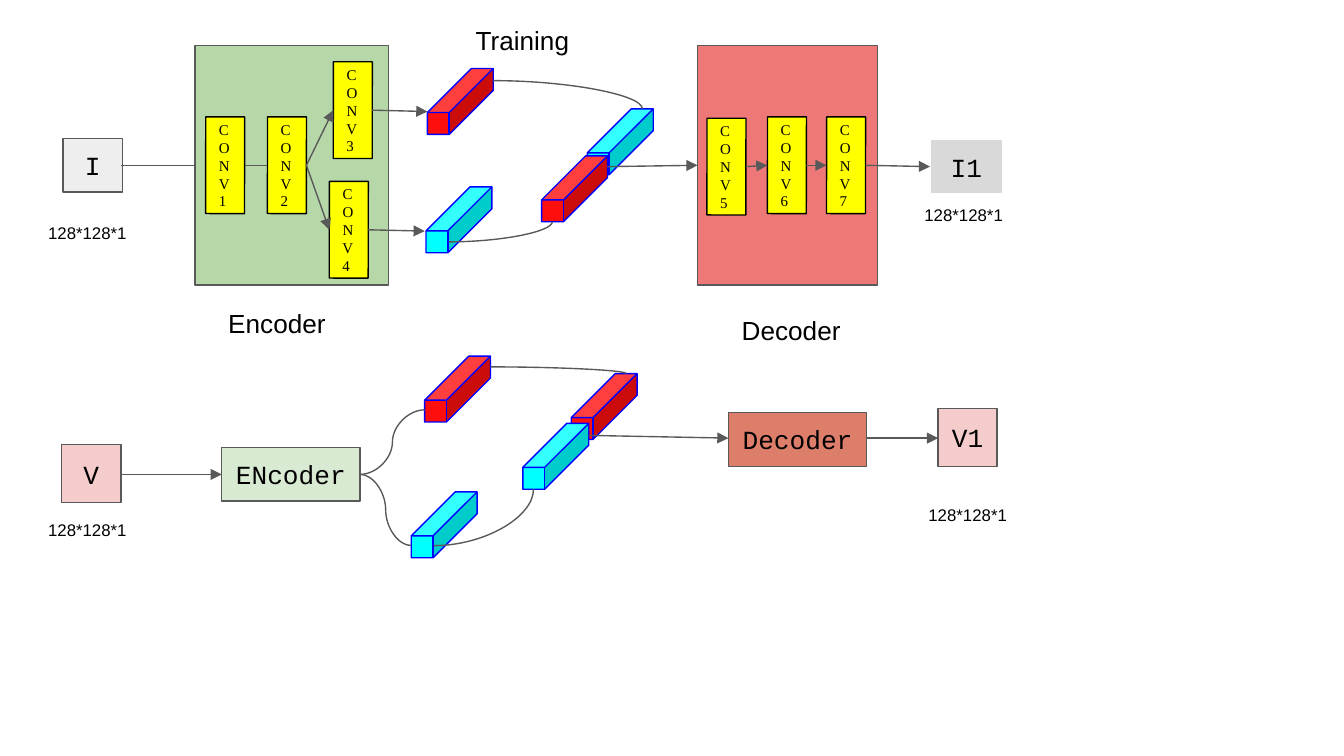
from dataclasses import dataclass
from typing import NamedTuple

from lxml.etree import SubElement
from pptx import Presentation
from pptx.dml.color import RGBColor
from pptx.enum.shapes import MSO_CONNECTOR as Connector, MSO_SHAPE as Shape
from pptx.enum.text import MSO_ANCHOR as Anchor, MSO_AUTO_SIZE as AutoSize, PP_ALIGN as Align
from pptx.oxml.ns import qn
from pptx.util import Inches, Pt


@dataclass(frozen=True)
class Theme:
    text: str = "000000"
    outline: str = "595959"
    cube_outline: str = "0000FF"
    red: str = "FF0E0E"
    cyan: str = "00FFFF"
    yellow: str = "FFFF00"
    pink: str = "F4CCCC"
    input_grey: str = "EEEEEE"
    output_grey: str = "D9D9D9"
    white: str = "FFFFFF"
    encoder_panel: str = "B6D7A8"
    decoder_panel: str = "EE7878"
    encoder_box: str = "D9EAD3"
    decoder_box: str = "DD7E6B"
    box_font: str = "Courier New"
    layer_font: str = "Times New Roman"
    label_font: str = "Arial"
    title_size: int = 14
    caption_size: int = 9
    layer_size: int = 8
    line_width: float = 0.75


THEME = Theme()
SLIDE_WIDTH = Inches(10)
SLIDE_HEIGHT = SLIDE_WIDTH * 9 // 16
CUBE_SIDE = 0.49
CUBE_DEPTH = 0.669
LAYER_SIZE = (0.29, 0.72)
INSET = Inches(0.1)


class Box(NamedTuple):
    left: float
    top: float
    width: float
    height: float
    fill: str
    text: str = ""
    outline: str = THEME.outline


class Layer(NamedTuple):
    number: int
    left: float
    top: float


class Cube(NamedTuple):
    left: float
    top: float
    fill: str


class Label(NamedTuple):
    text: str
    left: float
    top: float
    width: float
    height: float = 0.44
    size: int = THEME.title_size


class Link(NamedTuple):
    start: tuple[float, float]
    end: tuple[float, float]
    arrow: bool = True
    curve: str = ""


def caption(left: float, top: float) -> Label:
    return Label("128*128*1", left, top, 0.83, 0.35, THEME.caption_size)


BOXES = [
    Box(0.47, 1.03, 0.44, 0.40, THEME.input_grey, "I"),
    Box(1.45, 0.34, 1.44, 1.78, THEME.encoder_panel),
    Box(5.19, 0.34, 1.34, 1.78, THEME.decoder_panel),
    Box(6.92, 1.04, 0.54, 0.40, THEME.output_grey, "I1", THEME.white),
    Box(0.46, 3.31, 0.44, 0.43, THEME.pink, "V"),
    Box(1.65, 3.33, 1.03, 0.40, THEME.encoder_box, "ENcoder"),
    Box(5.42, 3.07, 1.03, 0.40, THEME.decoder_box, "Decoder"),
    Box(6.98, 3.04, 0.44, 0.43, THEME.pink, "V1"),
]
LAYERS = [
    Layer(1, 1.53, 0.87), Layer(2, 1.99, 0.87), Layer(4, 2.45, 1.35), Layer(3, 2.48, 0.46),
    Layer(5, 5.26, 0.88), Layer(6, 5.71, 0.87), Layer(7, 6.15, 0.87),
]
CUBES = [
    Cube(3.18, 0.51, THEME.red), Cube(3.17, 1.39, THEME.cyan),
    Cube(4.37, 0.81, THEME.cyan), Cube(4.03, 1.16, THEME.red),
    Cube(3.16, 2.65, THEME.red), Cube(3.06, 3.66, THEME.cyan),
    Cube(4.25, 2.78, THEME.red), Cube(3.89, 3.15, THEME.cyan),
]
LABELS = [
    caption(0.26, 1.58), caption(0.26, 3.79), caption(6.78, 1.45), caption(6.81, 3.68),
    Label("Encoder", 1.60, 2.19, 0.96),
    Label("Decoder", 5.42, 2.24, 1.04),
    Label("Training", 3.44, 0.08, 1.34),
]
QUARTER, S_CURVE = "curvedConnector2", "curvedConnector3"
LINKS = [
    Link((0.90, 1.23), (1.45, 1.23), arrow=False),
    Link((1.82, 1.23), (1.99, 1.23), arrow=False),
    Link((2.28, 1.23), (2.48, 0.82)),
    Link((2.28, 1.23), (2.45, 1.71)),
    Link((2.77, 0.82), (3.18, 0.83)),
    Link((2.74, 1.71), (3.16, 1.72)),
    Link((3.67, 0.60), (4.78, 0.81), False, QUARTER),
    Link((3.34, 1.80), (4.11, 1.65), False, QUARTER),
    Link((4.52, 1.24), (5.19, 1.23)),
    Link((5.55, 1.24), (5.71, 1.23)),
    Link((6.00, 1.23), (6.15, 1.23)),
    Link((6.44, 1.23), (6.92, 1.24)),
    Link((0.89, 3.53), (1.65, 3.53)),
    Link((2.68, 3.53), (3.16, 3.05), False, S_CURVE),
    Link((2.68, 3.53), (3.06, 4.06), False, S_CURVE),
    Link((3.65, 2.73), (4.66, 2.78), False, QUARTER),
    Link((3.23, 4.06), (3.97, 3.64), False, QUARTER),
    Link((4.38, 3.24), (5.42, 3.26)),
    Link((6.44, 3.26), (6.98, 3.26)),
]


def write_text(shape, text: str, font: str, size: int, align=Align.LEFT, anchor=Anchor.MIDDLE) -> None:
    frame = shape.text_frame
    frame.word_wrap = True
    frame.vertical_anchor = anchor
    frame.margin_left = frame.margin_right = frame.margin_top = frame.margin_bottom = INSET
    frame.text = text
    for paragraph in frame.paragraphs:
        paragraph.alignment = align
        paragraph.font.name = font
        paragraph.font.size = Pt(size)
        paragraph.font.color.rgb = RGBColor.from_string(THEME.text)


def add_filled(slide, kind: Shape, left: float, top: float, width: float, height: float,
               fill: str, outline: str):
    shape = slide.shapes.add_shape(kind, Inches(left), Inches(top), Inches(width), Inches(height))
    shape.shadow.inherit = False
    shape.fill.solid()
    shape.fill.fore_color.rgb = RGBColor.from_string(fill)
    shape.line.color.rgb = RGBColor.from_string(outline)
    shape.line.width = Pt(THEME.line_width)
    return shape


def add_box(slide, box: Box) -> None:
    shape = add_filled(slide, Shape.RECTANGLE, *box[:5], box.outline)
    if box.text:
        write_text(shape, box.text, THEME.box_font, THEME.title_size, Align.CENTER)


def add_layer(slide, layer: Layer) -> None:
    """Draw a layer so narrow that its name wraps to one letter a line."""
    shape = add_filled(slide, Shape.RECTANGLE, layer.left, layer.top, *LAYER_SIZE,
                       THEME.yellow, THEME.text)
    shape.rotation = 0.1
    write_text(shape, f"CONV\n{layer.number}", THEME.layer_font, THEME.layer_size)


def add_cube(slide, cube: Cube) -> None:
    shape = add_filled(slide, Shape.CUBE, cube.left, cube.top, CUBE_SIDE, CUBE_SIDE,
                       cube.fill, THEME.cube_outline)
    shape.adjustments[0] = CUBE_DEPTH


def add_label(slide, label: Label) -> None:
    shape = slide.shapes.add_textbox(*(Inches(length) for length in label[1:5]))
    write_text(shape, label.text, THEME.label_font, label.size, anchor=Anchor.TOP)
    shape.text_frame.auto_size = AutoSize.SHAPE_TO_FIT_TEXT


def add_link(slide, link: Link) -> None:
    kind = Connector.CURVE if link.curve else Connector.STRAIGHT
    connector = slide.shapes.add_connector(kind, *(Inches(value) for value in link.start + link.end))
    connector.line.color.rgb = RGBColor.from_string(THEME.outline)
    connector.line.width = Pt(THEME.line_width)
    properties = connector._element.spPr
    if link.curve:
        properties.find(qn("a:prstGeom")).set("prst", link.curve)
    if link.arrow:
        SubElement(properties.find(qn("a:ln")), qn("a:tailEnd"), type="triangle")
    SubElement(properties, qn("a:effectLst"))


def main() -> None:
    presentation = Presentation()
    presentation.slide_width, presentation.slide_height = SLIDE_WIDTH, SLIDE_HEIGHT
    slide = presentation.slides.add_slide(presentation.slide_layouts[6])
    for draw, items in ((add_box, BOXES), (add_layer, LAYERS), (add_cube, CUBES),
                        (add_link, LINKS), (add_label, LABELS)):
        for item in items:
            draw(slide, item)
    presentation.save("out.pptx")


if __name__ == "__main__":
    main()
